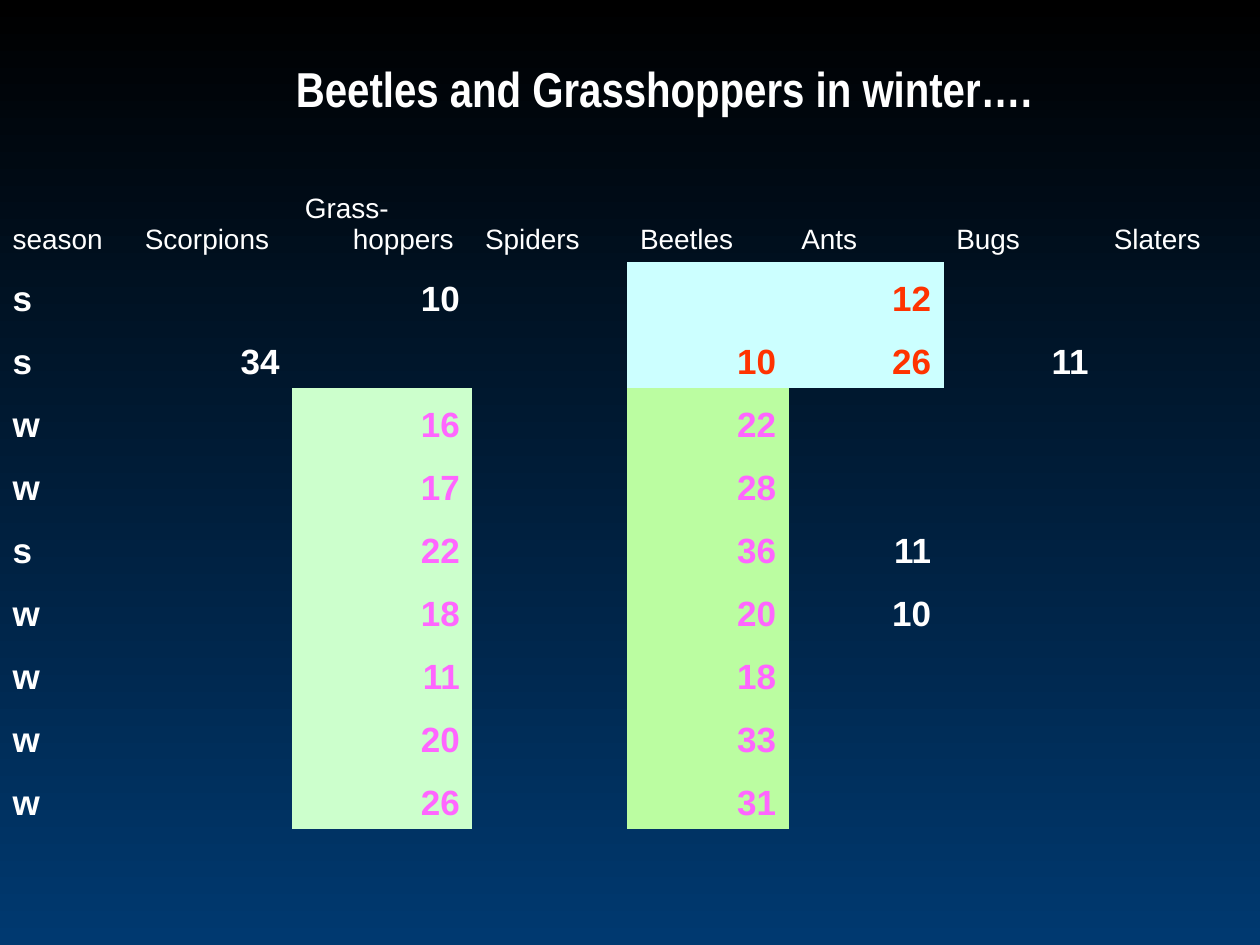
from pptx import Presentation
from pptx.dml.color import RGBColor
from pptx.enum.text import MSO_ANCHOR as Anchor, PP_ALIGN as Align
from pptx.oxml.ns import qn
from pptx.util import Inches, Pt

# Content
TITLE = "Beetles and Grasshoppers in winter…."
HEADINGS = ["season", "Scorpions", "Grass-hoppers", "Spiders",
            "Beetles", "Ants", "Bugs", "Slaters"]
COUNTS = [
    ("s", {"Grass-hoppers": 10, "Ants": 12}),
    ("s", {"Scorpions": 34, "Beetles": 10, "Ants": 26, "Bugs": 11}),
    ("w", {"Grass-hoppers": 16, "Beetles": 22}),
    ("w", {"Grass-hoppers": 17, "Beetles": 28}),
    ("s", {"Grass-hoppers": 22, "Beetles": 36, "Ants": 11}),
    ("w", {"Grass-hoppers": 18, "Beetles": 20, "Ants": 10}),
    ("w", {"Grass-hoppers": 11, "Beetles": 18}),
    ("w", {"Grass-hoppers": 20, "Beetles": 33}),
    ("w", {"Grass-hoppers": 26, "Beetles": 31}),
]

# Look
COLORS = {"night": "000000", "dusk": "003970", "white": "FFFFFF",
          "ice": "CCFFFF", "mint": "CCFFCC", "lime": "BBFDA1",
          "red": "FF3300", "pink": "FF66FF"}
# Highlighted blocks: species, rows from and up to, fill, text colour
HIGHLIGHTS = [
    ("Beetles", 1, 3, "ice", "red"),
    ("Ants", 1, 3, "ice", "red"),
    ("Grass-hoppers", 3, 10, "mint", "pink"),
    ("Beetles", 3, 10, "lime", "pink"),
]
COLUMN_WIDTHS = [1.05, 1.27, 1.43, 1.23, 1.28, 1.23, 1.25, 1.25]
HEADER_HEIGHT, ROW_HEIGHT = 2.59, 0.5
TABLE_TOP = -0.51
HANGING_INDENT = 0.38
NO_STYLE_NO_GRID = "{2D5ABB26-0587-4C30-8999-92F81FD0307C}"


def color(name):
    return RGBColor.from_string(COLORS[name])


def add_run(paragraph, text, size, ink="white", bold=False, face="Arial"):
    run = paragraph.add_run()
    run.text = text
    run.font.name, run.font.size, run.font.bold = face, Pt(size), bold
    run.font.color.rgb = color(ink)


def highlight(species, row):
    for name, first, end, fill, ink in HIGHLIGHTS:
        if name == species and first <= row < end:
            return fill, ink
    return None, "white"


def fill_cell(cell, text, row, species):
    fill, ink = highlight(species, row)
    if fill:
        cell.fill.solid()
        cell.fill.fore_color.rgb = color(fill)
    else:
        cell.fill.background()
    cell.vertical_anchor = Anchor.BOTTOM
    if not text:
        return
    paragraph = cell.text_frame.paragraphs[0]
    is_count = row > 0 and species != "season"
    paragraph.alignment = Align.RIGHT if is_count else Align.LEFT
    properties = paragraph._p.get_or_add_pPr()
    properties.set("marL", str(Inches(HANGING_INDENT)))
    properties.set("indent", str(-Inches(HANGING_INDENT)))
    add_run(paragraph, text, 20 if row else 16, ink, bold=row > 0)


def main():
    deck = Presentation()
    deck.slide_width, deck.slide_height = Inches(10), Inches(7.5)
    slide = deck.slides.add_slide(deck.slide_layouts[6])

    # Background, dark at the top
    backdrop = slide.background.fill
    backdrop.gradient()
    backdrop.gradient_angle = 270
    for stop, name in zip(backdrop.gradient_stops, ("night", "dusk")):
        stop.color.rgb = color(name)

    # Title
    title = slide.shapes.add_textbox(
        Inches(2.25), Inches(0.28), Inches(7.25), Inches(0.83)).text_frame
    title.word_wrap = True
    title.vertical_anchor = Anchor.MIDDLE
    add_run(title.paragraphs[0], TITLE, 28, bold=True, face="Arial Narrow")

    # Table of counts per season
    row_heights = [HEADER_HEIGHT] + [ROW_HEIGHT] * len(COUNTS)
    table = slide.shapes.add_table(
        len(row_heights), len(HEADINGS), 0, Inches(TABLE_TOP),
        deck.slide_width, Inches(sum(row_heights))).table
    table.first_row = table.horz_banding = False
    table._tbl.tblPr.find(qn("a:tableStyleId")).text = NO_STYLE_NO_GRID
    for column, width in zip(table.columns, COLUMN_WIDTHS):
        column.width = Inches(width)
    for table_row, height in zip(table.rows, row_heights):
        table_row.height = Inches(height)

    lines = [HEADINGS] + [
        [season] + [str(counts.get(species, "")) for species in HEADINGS[1:]]
        for season, counts in COUNTS]
    for row, line in enumerate(lines):
        for col, (species, text) in enumerate(zip(HEADINGS, line)):
            fill_cell(table.cell(row, col), text, row, species)

    deck.save("out.pptx")


if __name__ == "__main__":
    main()
